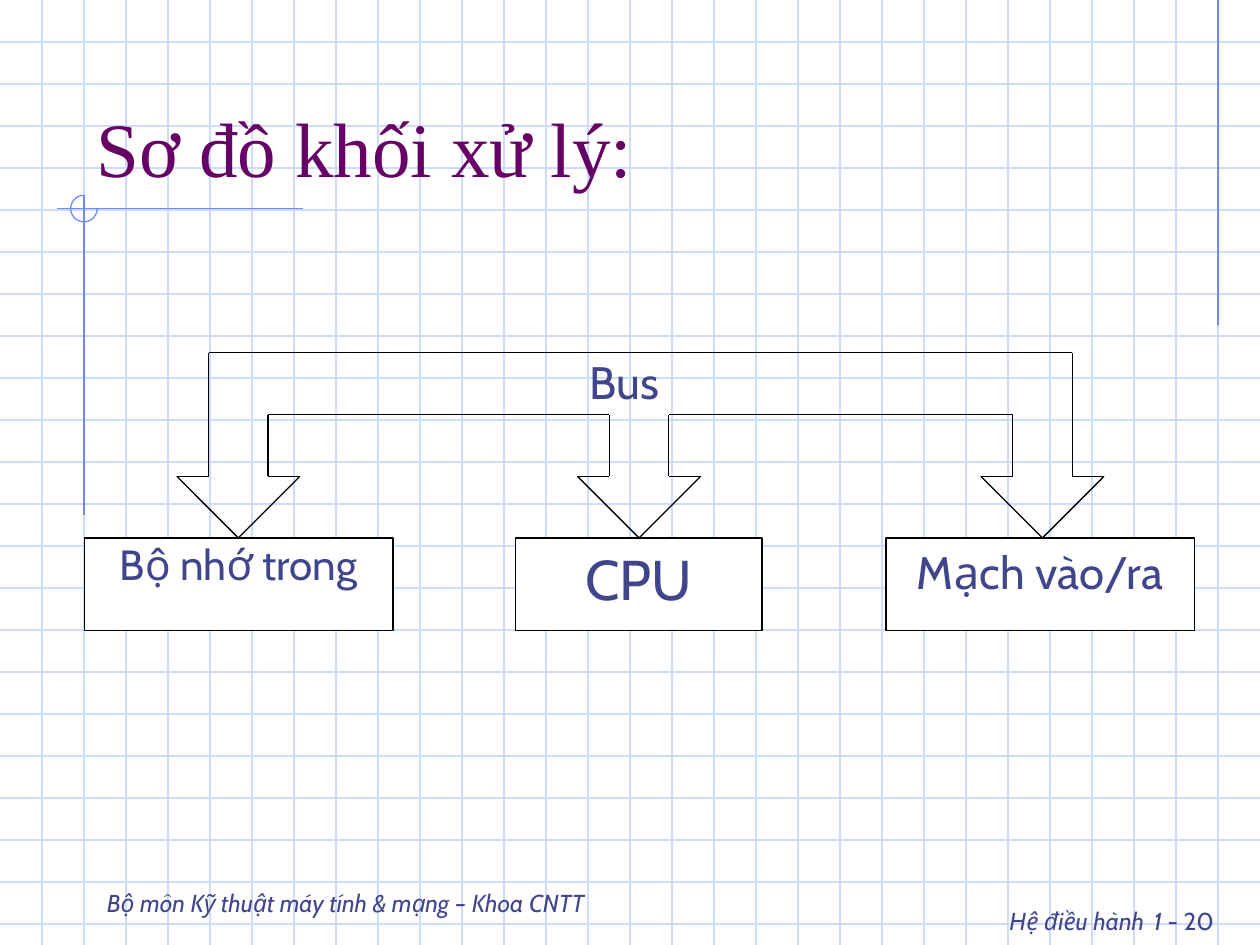
from lxml.etree import SubElement
from pptx import Presentation
from pptx.dml.color import RGBColor
from pptx.enum.shapes import MSO_CONNECTOR, MSO_SHAPE
from pptx.enum.text import MSO_ANCHOR as ANCHOR, PP_ALIGN as ALIGN
from pptx.oxml.ns import qn
from pptx.util import Pt

WIDTH, HEIGHT = 720, 540
BLACK, WHITE, INK, ACCENT, GRID = "000000", "FFFFFF", "40458C", "6F89F7", "CFDBFD"


def color(value):
    """Turn a hex string into a colour."""
    return RGBColor.from_string(value)


def line(slide, start, end, stroke=BLACK):
    """Draw a thin straight line between two points."""
    rule = slide.shapes.add_connector(
        MSO_CONNECTOR.STRAIGHT, *(Pt(value) for value in (*start, *end)))
    rule.line.color.rgb = color(stroke)
    rule.line.width = Pt(0.75)
    SubElement(rule._element.spPr, qn("a:effectLst"))


def shape(slide, kind, box, stroke, fill=None):
    """Add a preset shape with a thin outline and an optional fill."""
    item = slide.shapes.add_shape(kind, *(Pt(value) for value in box))
    item.shadow.inherit = False
    item.line.color.rgb = color(stroke)
    item.line.width = Pt(0.75)
    if fill:
        item.fill.solid()
        item.fill.fore_color.rgb = color(fill)
    else:
        item.fill.background()
    return item


def write(frame, text, size=14, font="Cabin", ink=INK, italic=False,
          align=ALIGN.LEFT, anchor=ANCHOR.TOP, spacing=None):
    """Append a formatted run to the first paragraph of a text frame."""
    frame.word_wrap = True
    frame.vertical_anchor = anchor
    paragraph = frame.paragraphs[0]
    paragraph.alignment = align
    if spacing:
        paragraph.line_spacing = spacing
    run = paragraph.add_run()
    run.text = text
    run.font.size = Pt(size)
    run.font.name = font
    run.font.italic = italic
    run.font.color.rgb = color(ink)


def text_box(slide, box):
    """Add an empty text box and return its text frame."""
    return slide.shapes.add_textbox(*(Pt(value) for value in box)).text_frame


def draw_grid(slide, width, height, step=24):
    """Rule the background into squares."""
    for y in range(step, height, step):
        line(slide, (0, y), (width, y), GRID)
    for x in range(step, width, step):
        line(slide, (x, 0), (x, height), GRID)


def draw_ornament(slide, left, top, radius=7.6):
    """Draw the accent lines and the open circle where they cross."""
    line(slide, (696, 0), (696, 186), ACCENT)
    line(slide, (left + 125, top), (left - 15.5, top), ACCENT)
    line(slide, (left, top - radius), (left, top + 175), ACCENT)
    ring = shape(slide, MSO_SHAPE.ARC,
                 (left - radius, top - radius, 2 * radius, 2 * radius), ACCENT)
    ring.adjustments[0] = 0
    ring.adjustments[1] = 162


def draw_footer(slide, left, top):
    """Place the department on the left and the course page on the right."""
    write(text_box(slide, (left + 438, top + 12, 208.8, 36)),
          "Hệ điều hành", italic=True, align=ALIGN.RIGHT)
    page = slide.shapes[-1].text_frame
    write(page, " ", size=24, align=ALIGN.RIGHT)
    write(page, "1", italic=True, align=ALIGN.RIGHT)
    write(page, " - 20", align=ALIGN.RIGHT)
    write(text_box(slide, (left, top, 402, 36)),
          "Bộ môn Kỹ thuật máy tính & mạng – Khoa CNTT",
          italic=True, anchor=ANCHOR.BOTTOM)


def draw_arrow(slide, center, tip, left_top, right_top):
    """Draw an open-topped down arrow whose shaft sides start at given heights."""
    head, shaft = 35.2, 17
    shoulder = tip - head
    for side, top in ((-1, left_top), (1, right_top)):
        outer = (center + side * head, shoulder)
        inner = (center + side * shaft, shoulder)
        line(slide, outer, inner)
        line(slide, inner, (inner[0], top))
        line(slide, outer, (center, tip))


def draw_bus_diagram(slide, left, top):
    """Draw the three blocks and the bus that links them."""
    bus_bottom, block_top = top + 35.3, top + 105.8
    blocks = (
        (246.3, 141, "CPU", 32, None),
        (0, 176.4, "Bộ nhớ trong", 24.1, 0.9),
        (458, 176.4, "Mạch vào/ra", 26, None),
    )
    for offset, width, label, size, spacing in blocks:
        block = shape(slide, MSO_SHAPE.RECTANGLE,
                      (left + offset, block_top, width, 53), BLACK, WHITE)
        write(block.text_frame, label, size=size, align=ALIGN.CENTER,
              spacing=spacing)

    memory, cpu, ports = (left + offset for offset in (88, 317, 547.5))
    draw_arrow(slide, memory, block_top, top, bus_bottom)
    draw_arrow(slide, cpu, block_top, bus_bottom, bus_bottom)
    draw_arrow(slide, ports, block_top, bus_bottom, top)
    line(slide, (memory + 17, bus_bottom), (cpu - 17, bus_bottom))
    line(slide, (cpu + 17, bus_bottom), (ports - 17, bus_bottom))
    line(slide, (memory - 17, top), (ports + 17, top))
    write(text_box(slide, (left + 281.6, top - 2.9, 105.8, 52.6)), "Bus", size=26)


def main():
    """Build the slide and save it."""
    deck = Presentation()
    deck.slide_width, deck.slide_height = Pt(WIDTH), Pt(HEIGHT)
    slide = deck.slides.add_slide(deck.slide_layouts[6])
    slide.background.fill.solid()
    slide.background.fill.fore_color.rgb = color(WHITE)
    draw_grid(slide, WIDTH, HEIGHT)
    draw_ornament(slide, 48, 119.2)
    draw_footer(slide, 54, 492)
    write(text_box(slide, (48, 24, 612, 90)), "Sơ đồ khối xử lý:", size=44,
          font="Times New Roman", ink="660066", anchor=ANCHOR.BOTTOM)
    draw_bus_diagram(slide, 48.2, 201.6)
    deck.save("out.pptx")


if __name__ == "__main__":
    main()
